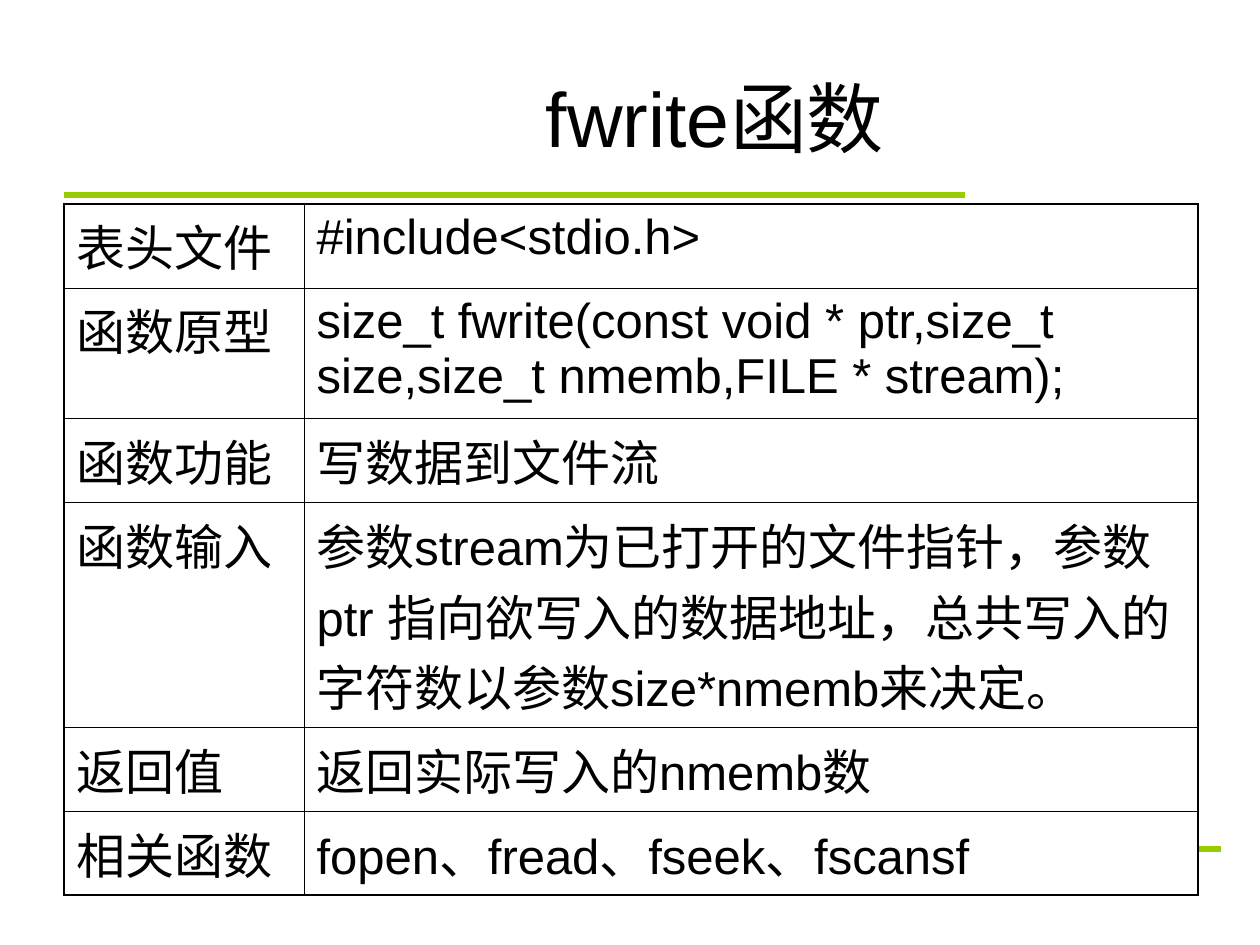
"""Build a slide that sums up the fwrite function in a two-column table."""
from lxml import etree
from pptx import Presentation, util as u
from pptx.dml.color import RGBColor
from pptx.enum import shapes, text
from pptx.oxml.ns import qn


def px(num):
    return u.Emu(round(num * 914400 / 126))


def paint(fill, tint):
    fill.solid()
    fill.fore_color.rgb = RGBColor.from_string(tint)


deck = Presentation()
deck.slide_width, deck.slide_height = px(1260), px(945)
slide = deck.slides.add_slide(deck.slide_layouts[6])

for left, top in [(64, 195), (320, 849)]:
    rule = slide.shapes.add_connector(
        shapes.MSO_CONNECTOR.STRAIGHT, px(left), px(top), px(left + 901), px(top))
    paint(rule.line.fill, "99CC00")
    rule.line.width = u.Pt(3)
    etree.SubElement(rule._element.spPr, qn("a:effectLst"))

title = slide.shapes.add_textbox(px(233), px(38), px(964), px(157)).text_frame
form = {"word_wrap": True, "vertical_anchor": text.MSO_ANCHOR.MIDDLE}
for key, val in form.items():
    setattr(title, key, val)
title.text = "fwrite函数"
head = title.paragraphs[0]
head.alignment = text.PP_ALIGN.CENTER
for key, val in {"size": u.Pt(44), "name": "Arial"}.items():
    setattr(head.runs[0].font, key, val)
paint(head.runs[0].font.fill, "000000")

rows = [
    (84, "表头文件", "#include<stdio.h>"),
    (122, "函数原型", "size_t fwrite(const void * ptr,size_t size,size_t nmemb,FILE * stream);"),
    (84, "函数功能", "写数据到文件流"),
    (225, "函数输入", "参数stream为已打开的文件指针，参数ptr 指向欲写入的数据地址，"
     "总共写入的字符数以参数size*nmemb来决定。"),
    (84, "返回值", "返回实际写入的nmemb数"),
    (84, "相关函数", "fopen、fread、fseek、fscansf"),
]
wide = [240, 894]
high = [row[0] for row in rows]
grid = slide.shapes.add_table(
    len(rows), len(wide), px(64), px(204), px(sum(wide)), px(sum(high))).table
for key in ["first_row", "horz_banding"]:
    setattr(grid, key, False)
for col, width in zip(grid.columns, wide):
    col.width = px(width)

for r, (tall, *words) in enumerate(rows):
    grid.rows[r].height = px(tall)
    for c, word in enumerate(words):
        cell = grid.cell(r, c)
        cell.text = word
        para = cell.text_frame.paragraphs[0]
        para.space_before = u.Pt(7)
        for key, val in {"size": u.Pt(28), "name": "Arial"}.items():
            setattr(para.runs[0].font, key, val)
        paint(para.runs[0].font.fill, "000000")
        edges = {"L": c == 0, "R": c == 1, "T": r == 0, "B": r == len(rows) - 1}
        props = cell._tc.get_or_add_tcPr()
        for side, outer in edges.items():
            line = etree.SubElement(
                props, qn("a:ln" + side), w=str(u.Pt(1.08 if outer else 0.45)))
            fill = etree.SubElement(line, qn("a:solidFill"))
            etree.SubElement(fill, qn("a:srgbClr"), val="000000")
        paint(cell.fill, "FFFFFF")

deck.save("out.pptx")
